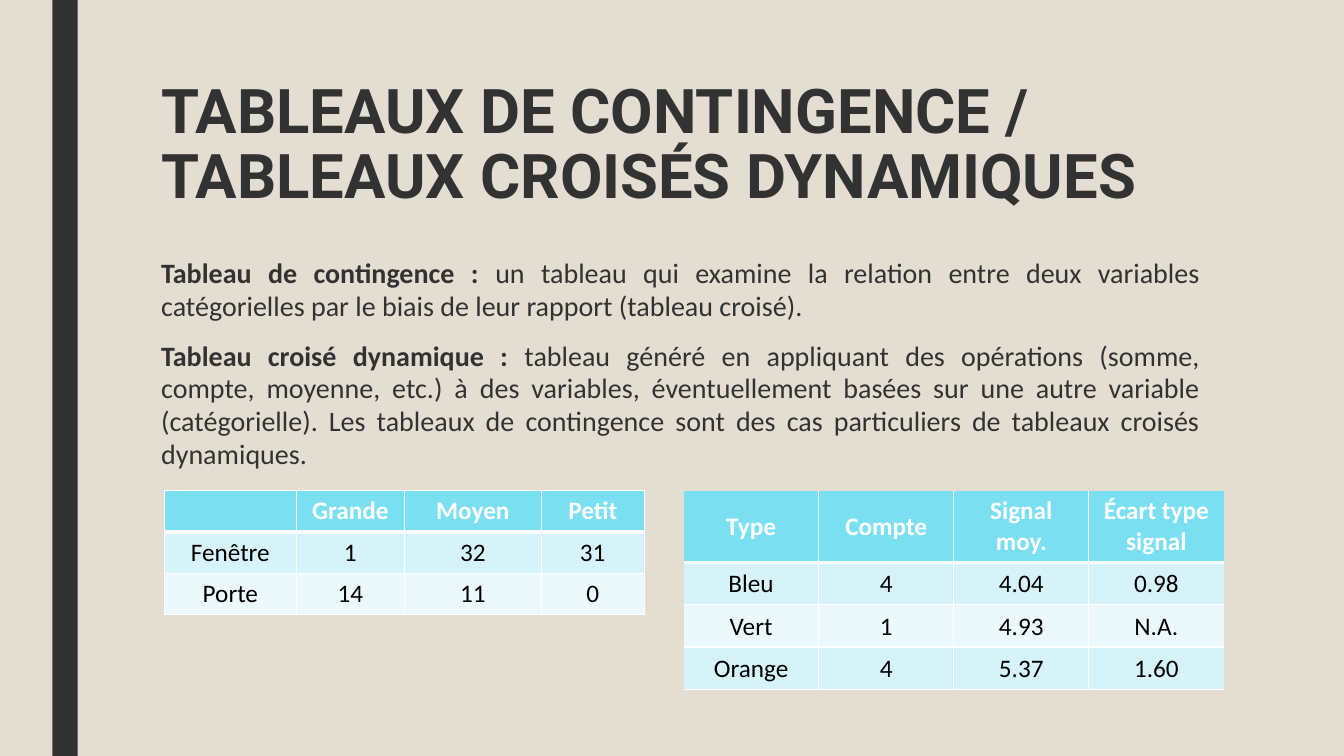
from lxml.etree import SubElement
from pptx import Presentation
from pptx.dml.color import RGBColor
from pptx.enum.shapes import MSO_SHAPE
from pptx.enum.text import MSO_ANCHOR, PP_ALIGN
from pptx.oxml.ns import qn
from pptx.util import Inches, Pt

SAND = RGBColor(0xE3, 0xDE, 0xD1)
DARK = RGBColor(0x32, 0x32, 0x32)
WHITE = RGBColor(0xFF, 0xFF, 0xFF)
BLACK = RGBColor(0x00, 0x00, 0x00)
HEAD = RGBColor(0x7B, 0xDF, 0xF2)
BANDS = [RGBColor(0xD7, 0xF3, 0xFA), RGBColor(0xEC, 0xF9, 0xFC)]

TITLE = "TABLEAUX DE CONTINGENCE / TABLEAUX CROISÉS DYNAMIQUES"
TERMS = [
    ("Tableau de contingence : ",
     "un tableau qui examine la relation entre deux variables "
     "catégorielles par le biais de leur rapport (tableau croisé)."),
    ("Tableau croisé dynamique : ",
     "tableau généré en appliquant des opérations (somme, compte, moyenne, "
     "etc.) à des variables, éventuellement basées sur une autre variable "
     "(catégorielle). Les tableaux de contingence sont des cas particuliers "
     "de tableaux croisés dynamiques."),
]
COUNTS = [
    ["", "Grande", "Moyen", "Petit"],
    ["Fenêtre", "1", "32", "31"],
    ["Porte", "14", "11", "0"],
]
STATS = [
    ["Type", "Compte", "Signal\nmoy.", "Écart type signal"],
    ["Bleu", "4", "4.04", "0.98"],
    ["Vert", "1", "4.93", "N.A."],
    ["Orange", "4", "5.37", "1.60"],
]


def add_run(para, text, size, color, bold, face="Calibri"):
    run = para.add_run()
    run.text = text
    font = run.font
    font.name, font.size, font.bold = face, Pt(size), bold
    font.color.rgb = color


def add_bar(slide):
    bar = slide.shapes.add_shape(MSO_SHAPE.RECTANGLE, Inches(0.52), 0,
                                 Inches(0.25), Inches(7.5))
    bar.shadow.inherit = False
    bar.fill.solid()
    bar.fill.fore_color.rgb = DARK
    bar.line.fill.background()


def add_box(slide, top, height):
    box = slide.shapes.add_textbox(Inches(1.5), Inches(top),
                                   Inches(10.5), Inches(height))
    box.text_frame.word_wrap = True
    return box.text_frame


def add_title(slide):
    para = add_box(slide, 0.75, 1.62).paragraphs[0]
    para.line_spacing = 0.89
    add_run(para, TITLE, 44, DARK, True, "Roboto")


def add_body(slide):
    frame = add_box(slide, 2.5, 3.92)
    for i, (term, text) in enumerate(TERMS):
        para = frame.add_paragraph() if i else frame.paragraphs[0]
        para.alignment = PP_ALIGN.JUSTIFY
        para.line_spacing = 0.98
        para.space_before, para.space_after = Pt(10), Pt(2)
        add_run(para, term, 20, DARK, True)
        add_run(para, text, 20, DARK, False)


def set_edge(cell, side, width):
    line = SubElement(cell._tc.get_or_add_tcPr(), qn("a:ln" + side),
                      w=str(Pt(width)))
    if width:
        fill = SubElement(line, qn("a:solidFill"))
        SubElement(fill, qn("a:srgbClr"), val=str(WHITE))
    else:
        SubElement(line, qn("a:noFill"))


def fill_cell(cell, text, row, edges):
    for side, width in edges.items():
        set_edge(cell, side, width)
    cell.fill.solid()
    cell.fill.fore_color.rgb = BANDS[(row - 1) % 2] if row else HEAD
    para = cell.text_frame.paragraphs[0]
    para.alignment = PP_ALIGN.CENTER
    for i, part in enumerate(text.split("\n")):
        if i:
            para.add_line_break()
        add_run(para, part, 18, BLACK if row else WHITE, not row)


def add_grid(slide, left, data, widths, heights, framed):
    shape = slide.shapes.add_table(len(data), len(widths), Inches(left),
                                   Inches(4.87), Inches(sum(widths)),
                                   Inches(sum(heights)))
    table = shape.table
    for col, width in zip(table.columns, widths):
        col.width = Inches(width)
    for row, height in zip(table.rows, heights):
        row.height = Inches(height)
    for r, line in enumerate(data):
        for c, text in enumerate(line):
            cell = table.cell(r, c)
            edges = {
                "L": int(framed or c > 0),
                "R": int(framed or c < len(line) - 1),
                "T": 3 if r == 1 else int(framed or r > 0),
                "B": 1 if r else 3,
            }
            fill_cell(cell, text, r, edges)
            if not framed:
                cell.vertical_anchor = MSO_ANCHOR.MIDDLE
                if r:
                    cell.margin_left = cell.margin_right = Inches(0.01)
                    cell.margin_top = Inches(0.01)
                    cell.margin_bottom = 0


def main():
    deck = Presentation()
    deck.slide_width, deck.slide_height = Inches(13.33), Inches(7.5)
    slide = deck.slides.add_slide(deck.slide_layouts[6])
    slide.background.fill.solid()
    slide.background.fill.fore_color.rgb = SAND
    add_bar(slide)
    add_title(slide)
    add_body(slide)
    add_grid(slide, 1.63, COUNTS, [1.31, 1.07, 1.36, 1.02], [0.41] * 3, True)
    add_grid(slide, 6.78, STATS, [1.34] * 4, [0.71] + [0.42] * 3, False)
    deck.save("out.pptx")


if __name__ == "__main__":
    main()
